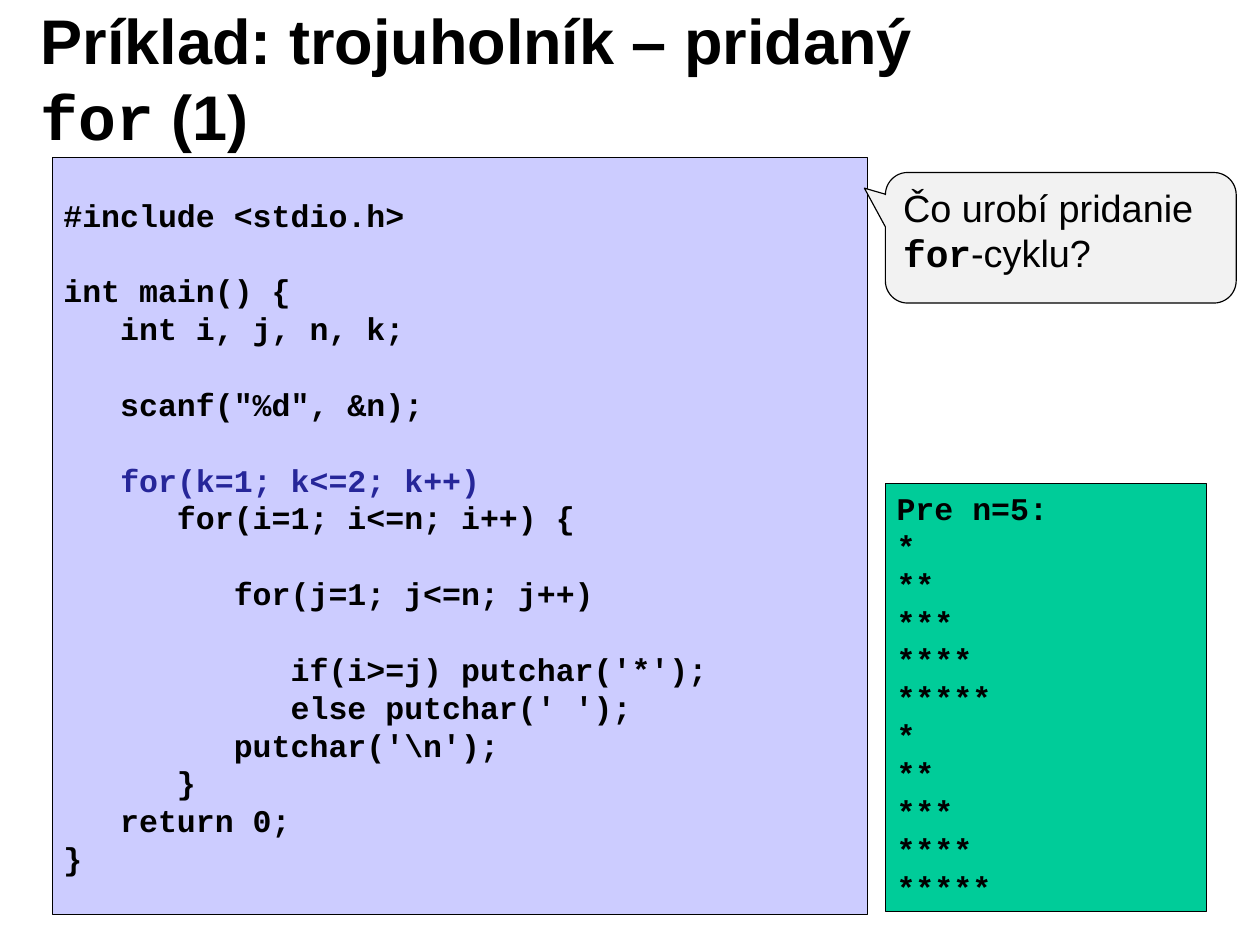
from dataclasses import dataclass
from typing import NamedTuple, Optional

import pptx
import pptx.dml.color
import pptx.enum.shapes
import pptx.enum.text
import pptx.shapes.autoshape
import pptx.text.text
import pptx.util

RGBColor = pptx.dml.color.RGBColor
Inches = pptx.util.Inches
Pt = pptx.util.Pt
MSO_SHAPE = pptx.enum.shapes.MSO_SHAPE
MSO_ANCHOR = pptx.enum.text.MSO_ANCHOR
MSO_AUTO_SIZE = pptx.enum.text.MSO_AUTO_SIZE
PP_ALIGN = pptx.enum.text.PP_ALIGN

BLACK = RGBColor(0x00, 0x00, 0x00)
NAVY = RGBColor(0x26, 0x26, 0x99)
GREEN = RGBColor(0x00, 0xCC, 0x99)
LAVENDER = RGBColor(0xCC, 0xCC, 0xFF)
PALE_GREY = RGBColor(0xF2, 0xF2, 0xF2)
SANS = "Arial"
MONO = "Courier New"

ADDED_LOOP = "for(k=1; k<=2; k++)"
PROGRAM = r"""#include <stdio.h>

int main() {
   int i, j, n, k;

   scanf("%d", &n);

   for(k=1; k<=2; k++)
      for(i=1; i<=n; i++) {

         for(j=1; j<=n; j++)

            if(i>=j) putchar('*');
            else putchar(' ');
         putchar('\n');
      }
   return 0;
}"""
TRIANGLE = ["*" * width for width in range(1, 6)]


class Run(NamedTuple):
    text: str
    font: Optional[str] = None
    bold: Optional[bool] = None
    color: Optional[RGBColor] = None


@dataclass
class Box:
    kind: MSO_SHAPE
    left: float
    top: float
    width: float
    height: float
    fill: RGBColor
    lines: list[list[Run]]
    font: Optional[str] = MONO
    size: int = 20
    bold: Optional[bool] = True
    anchor: MSO_ANCHOR = MSO_ANCHOR.TOP
    wrap: bool = True


def program_line(line: str) -> list[Run]:
    """Split off the added loop so that it gets its own colour."""
    if not line:
        return []
    indent, loop, _ = line.partition(ADDED_LOOP)
    return [Run(indent), Run(loop, color=NAVY)] if loop else [Run(line)]


def write_line(p: pptx.text.text._Paragraph, runs: list[Run], size: int,
               font: Optional[str], bold: Optional[bool]) -> None:
    p.alignment = PP_ALIGN.LEFT
    p.font.size = Pt(size)
    p.font.color.rgb = BLACK
    p.font.name = font
    p.font.bold = bold
    for run in runs:
        r = p.add_run()
        r.text = run.text
        if run.font:
            r.font.name = run.font
        if run.bold is not None:
            r.font.bold = run.bold
        if run.color is not None:
            r.font.color.rgb = run.color


def add_box(s: pptx.slide.Slide, box: Box) -> pptx.shapes.autoshape.Shape:
    sp = s.shapes.add_shape(box.kind, Inches(box.left), Inches(box.top),
                            Inches(box.width), Inches(box.height))
    sp.shadow.inherit = False
    sp.fill.solid()
    sp.fill.fore_color.rgb = box.fill
    sp.line.color.rgb = BLACK
    sp.line.width = Pt(0.75)
    tf = sp.text_frame
    tf.word_wrap = box.wrap
    tf.vertical_anchor = box.anchor
    for i, runs in enumerate(box.lines):
        p = tf.add_paragraph() if i else tf.paragraphs[0]
        write_line(p, runs, box.size, box.font, box.bold)
    return sp


def add_title(s: pptx.slide.Slide) -> None:
    sp = s.shapes.title
    sp.left, sp.top = Inches(0.25), Inches(0.17)
    sp.width, sp.height = Inches(8.92), Inches(1.02)
    tf = sp.text_frame
    tf.word_wrap = True
    tf.auto_size = MSO_AUTO_SIZE.NONE
    tf.vertical_anchor = MSO_ANCHOR.MIDDLE
    tf.margin_left = tf.margin_right = Inches(0.11)
    tf.margin_top = tf.margin_bottom = Inches(0.06)
    p = tf.paragraphs[0]
    p.line_spacing = 1.0
    p.space_before = Pt(0)
    write_line(p, [Run("Príklad: trojuholník – pridaný ", SANS),
                   Run("for", MONO), Run(" (1)", SANS)], 40, None, True)


def main() -> None:
    prs = pptx.Presentation()
    prs.slide_width, prs.slide_height = Inches(11.1), Inches(8.3)
    s = prs.slides.add_slide(prs.slide_layouts.get_by_name("Title Only"))
    add_title(s)

    output = ["Pre n=5:"] + TRIANGLE * 2
    add_box(s, Box(MSO_SHAPE.RECTANGLE, 7.8, 4.26, 2.83, 3.77, GREEN,
                   [[Run(line)] for line in output]))
    add_box(s, Box(MSO_SHAPE.RECTANGLE, 0.46, 1.39, 7.18, 6.67, LAVENDER,
                   [program_line(line) for line in PROGRAM.splitlines()],
                   anchor=MSO_ANCHOR.MIDDLE, wrap=False))
    question = [Run("Čo urobí pridanie ", SANS, False),
                Run("for", MONO, True), Run("-cyklu?", SANS, False)]
    callout = add_box(s, Box(MSO_SHAPE.ROUNDED_RECTANGULAR_CALLOUT,
                             7.8, 1.52, 3.09, 1.15, PALE_GREY, [question],
                             font=None, size=24, bold=None))
    for i, value in enumerate((-0.56, -0.38, 0.17)):
        callout.adjustments[i] = value

    prs.save("out.pptx")


if __name__ == "__main__":
    main()
